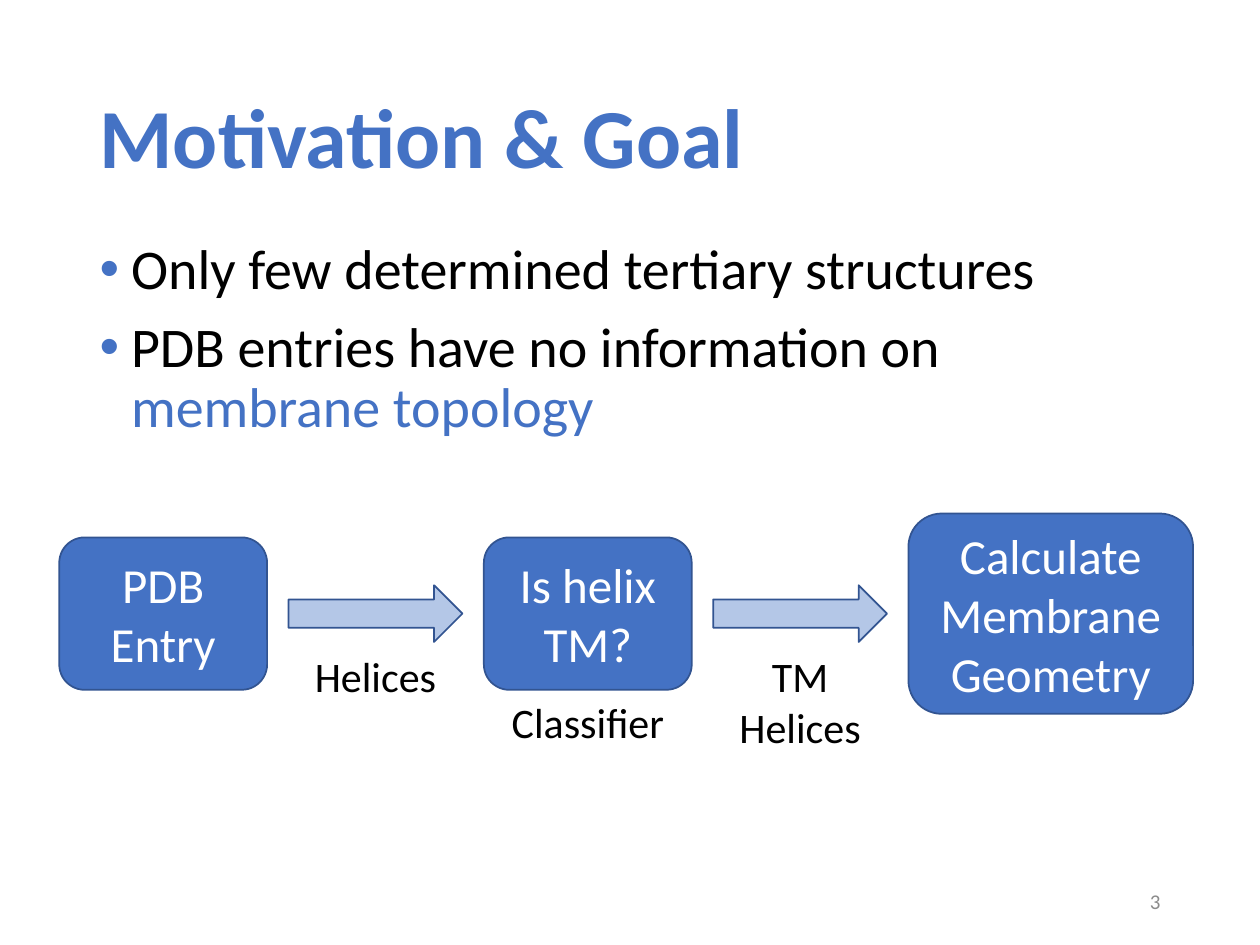
import pptx
import pptx.util
import pptx.dml.color
import pptx.enum.shapes
import pptx.enum.text
import pptx.oxml
import pptx.oxml.ns

Inches = pptx.util.Inches
Pt = pptx.util.Pt
ALIGN = pptx.enum.text.PP_ALIGN
ANCHOR = pptx.enum.text.MSO_ANCHOR
SHAPE = pptx.enum.shapes.MSO_SHAPE

BLUE, PALE_BLUE, DARK_BLUE = "4472C4", "B4C7E7", "325491"
BLACK, WHITE, GRAY = "000000", "FFFFFF", "8C8C8C"

TITLE = "Motivation & Goal"
BULLETS = [
    [("Only few determined tertiary structures", BLACK)],
    [("PDB entries have no information on\v", BLACK), ("membrane topology", BLUE)],
]
SLIDE_NUMBER = "3"
FLOW = [
    {"kind": "box", "size": (1.65, 1.21), "text": "PDB\nEntry"},
    {"kind": "arrow", "size": (1.38, 0.45), "label": "Helices"},
    {"kind": "box", "size": (1.65, 1.21), "text": "Is helix TM?", "label": "Classifier"},
    {"kind": "arrow", "size": (1.38, 0.45), "label": "TM\nHelices"},
    {"kind": "box", "size": (2.26, 1.59), "text": "Calculate Membrane Geometry"},
]
FLOW_LEFT, FLOW_MIDDLE, FLOW_GAP = 0.47, 4.87, 0.17


def color(value):
    return pptx.dml.color.RGBColor.from_string(value)


def place(shape, left, top, width, height):
    shape.left, shape.top = Inches(left), Inches(top)
    shape.width, shape.height = Inches(width), Inches(height)


def format_font(font, size, value, bold=False):
    font.name, font.size, font.bold = "Calibri", Pt(size), bold
    font.color.rgb = color(value)


def write(shape, text, size, value, align, anchor, bold=False):
    frame = shape.text_frame
    frame.text = text
    frame.word_wrap = True
    frame.auto_size = pptx.enum.text.MSO_AUTO_SIZE.NONE
    frame.vertical_anchor = anchor
    for paragraph in frame.paragraphs:
        paragraph.alignment = align
        for run in paragraph.runs:
            format_font(run.font, size, value, bold)


def add_text(slide, bounds, *style):
    box = slide.shapes.add_textbox(*map(Inches, bounds))
    write(box, *style)


def add_bullet(paragraph):
    properties = paragraph._p.get_or_add_pPr()
    properties.set("marL", str(Inches(0.25)))
    properties.set("indent", str(Inches(-0.25)))
    namespace = pptx.oxml.ns.nsdecls("a")
    for element in (
        f'<a:buClr {namespace}><a:srgbClr val="{BLUE}"/></a:buClr>',
        f'<a:buFont {namespace} typeface="Arial"/>',
        f'<a:buChar {namespace} char="•"/>',
    ):
        properties.append(pptx.oxml.parse_xml(element))


def fill_body(body):
    frame = body.text_frame
    frame.auto_size = pptx.enum.text.MSO_AUTO_SIZE.NONE
    for index, parts in enumerate(BULLETS):
        paragraph = frame.paragraphs[0] if index == 0 else frame.add_paragraph()
        paragraph.text = "".join(text for text, _ in parts)
        add_bullet(paragraph)
        paragraph.line_spacing = 0.9
        paragraph.space_before = Pt(10 if index else 0)
        for run, (_, value) in zip(paragraph.runs, parts):
            format_font(run.font, 32, value)


def add_flow(slide):
    left = FLOW_LEFT
    for step in FLOW:
        width, height = step["size"]
        is_box = step["kind"] == "box"
        top = FLOW_MIDDLE - height / 2
        preset = SHAPE.ROUNDED_RECTANGLE if is_box else SHAPE.RIGHT_ARROW
        shape = slide.shapes.add_shape(preset, *map(Inches, (left, top, width, height)))
        shape.shadow.inherit = False
        shape.fill.solid()
        shape.fill.fore_color.rgb = color(BLUE if is_box else PALE_BLUE)
        shape.line.color.rgb = color(DARK_BLUE)
        shape.line.width = Pt(1)
        if is_box:
            write(shape, step["text"], 28, WHITE, ALIGN.CENTER, ANCHOR.MIDDLE)
        if "label" in step:
            label_height = 0.5 + 0.41 * step["label"].count("\n")
            label_top = top + height + (0 if is_box else 0.02)
            add_text(slide, (left, label_top, width, label_height),
                     step["label"], 24, BLACK, ALIGN.CENTER, ANCHOR.TOP)
        left += width + FLOW_GAP


def main():
    presentation = pptx.Presentation()
    presentation.slide_width, presentation.slide_height = Inches(10), Inches(7.5)
    slide = presentation.slides.add_slide(presentation.slide_layouts[1])

    title, body = slide.shapes.title, slide.placeholders[1]
    place(title, 0.69, 0.4, 8.62, 1.45)
    write(title, TITLE, 48, BLUE, ALIGN.LEFT, ANCHOR.MIDDLE, True)
    title.text_frame.paragraphs[0].line_spacing = 0.9
    place(body, 0.69, 1.86, 8.62, 1.89)
    fill_body(body)

    add_flow(slide)
    add_text(slide, (7.06, 6.95, 2.25, 0.4),
             SLIDE_NUMBER, 12, GRAY, ALIGN.RIGHT, ANCHOR.MIDDLE)
    presentation.save("out.pptx")


if __name__ == "__main__":
    main()
